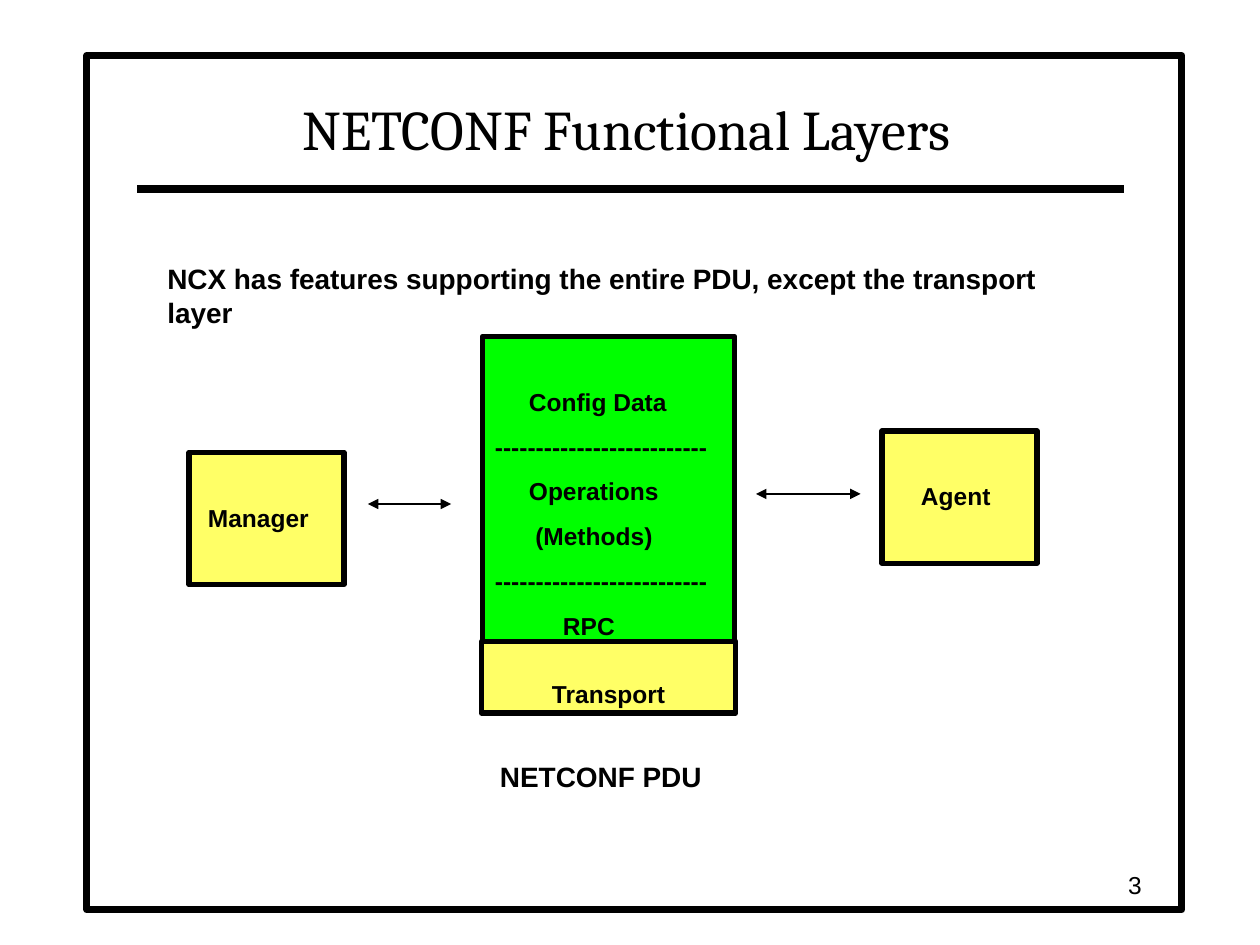
import pptx
import pptx.dml.color
import pptx.enum.shapes
import pptx.enum.text
import pptx.oxml.ns
import pptx.util
from lxml import etree

Inches = pptx.util.Inches
Pt = pptx.util.Pt
RGBColor = pptx.dml.color.RGBColor
ALIGN = pptx.enum.text.PP_ALIGN
ANCHOR = pptx.enum.text.MSO_ANCHOR
SHAPE = pptx.enum.shapes.MSO_SHAPE
CONNECTOR = pptx.enum.shapes.MSO_CONNECTOR

BLACK = RGBColor(0x00, 0x00, 0x00)
YELLOW = RGBColor(0xFF, 0xFF, 0x66)
GREEN = RGBColor(0x00, 0xFF, 0x00)


class SlideBuilder:
    """Holds the style and the current slide."""

    label = {"name": "Arial", "size": Pt(14), "bold": True}
    caption = {"name": "Arial", "size": Pt(16), "bold": True}
    number = {"name": "Arial", "size": Pt(14), "bold": False}
    heading = {"name": "Cambria", "size": Pt(32), "bold": False}
    line_gap = Pt(8.8)

    def __init__(self, slide):
        self.s = slide

    def fill_text(self, sp, lines, font, align=ALIGN.LEFT, anchor=ANCHOR.TOP,
                  wrap=True, left=0.1, top=0.05):
        """Fill a shape with (text, indent in inches) lines."""
        tf = sp.text_frame
        frame = {"word_wrap": wrap, "vertical_anchor": anchor,
                 "margin_left": Inches(left), "margin_right": Inches(0.1),
                 "margin_top": Inches(top), "margin_bottom": 0}
        for key, value in frame.items():
            setattr(tf, key, value)
        for i, (text, indent) in enumerate(lines):
            p = tf.paragraphs[0] if i == 0 else tf.add_paragraph()
            p.alignment = align
            if i:
                p.space_before = self.line_gap
            if indent:
                p._p.get_or_add_pPr().set("marL", str(Inches(indent)))
            r = p.add_run()
            r.text = text
            for key, value in font.items():
                setattr(r.font, key, value)
            r.font.color.rgb = BLACK

    def title(self, text, x, y, w, h):
        sp = self.s.shapes.title
        place = {"left": x, "top": y, "width": w, "height": h}
        for key, value in place.items():
            setattr(sp, key, Inches(value))
        self.fill_text(sp, [(text, 0)], self.heading,
                       ALIGN.CENTER, ANCHOR.BOTTOM)
        sp.text_frame.margin_bottom = Inches(0.05)

    def box(self, x, y, w, h, fill=None, width=3, lines=(), **layout):
        sp = self.s.shapes.add_shape(
            SHAPE.RECTANGLE, Inches(x), Inches(y), Inches(w), Inches(h))
        sp.shadow.inherit = False
        if fill is None:
            sp.fill.background()
        else:
            sp.fill.solid()
            sp.fill.fore_color.rgb = fill
        sp.line.color.rgb = BLACK
        sp.line.width = Pt(width)
        if lines:
            self.fill_text(sp, lines, self.label, **layout)

    def text(self, text, x, y, w, h, font, **layout):
        sp = self.s.shapes.add_textbox(
            Inches(x), Inches(y), Inches(w), Inches(h))
        self.fill_text(sp, [(text, 0)], font, **layout)

    def line(self, x1, x2, y, width, arrows=False):
        c = self.s.shapes.add_connector(
            CONNECTOR.STRAIGHT, Inches(x1), Inches(y), Inches(x2), Inches(y))
        c.line.color.rgb = BLACK
        c.line.width = Pt(width)
        spPr = c._element.spPr
        if arrows:
            ln = spPr.find(pptx.oxml.ns.qn("a:ln"))
            for end in ("a:headEnd", "a:tailEnd"):
                etree.SubElement(ln, pptx.oxml.ns.qn(end), type="triangle")
        etree.SubElement(spPr, pptx.oxml.ns.qn("a:effectLst"))


def main():
    prs = pptx.Presentation()
    prs.slide_width, prs.slide_height = Inches(10), Inches(7.5)
    b = SlideBuilder(prs.slides.add_slide(prs.slide_layouts[5]))

    # Frame, title and rule
    b.box(0.69, 0.44, 8.69, 6.78, width=4)
    b.title("NETCONF Functional Layers", 1.08, 0.58, 7.79, 0.75)
    b.line(1.09, 8.92, 1.5, 4.5)

    # Peers
    for name, x, y, left in (("Manager", 1.5, 3.59, 0.15),
                             ("Agent", 7, 3.42, 0.31)):
        b.box(x, y, 1.23, 1.05, YELLOW, lines=[(name, 0)], left=left, top=0.4)

    # Protocol layers
    divider = ("-" * 26, 0)
    layers = [("Config Data", 0.27), divider, ("Operations", 0.27),
              ("(Methods)", 0.32), divider, ("RPC", 0.54)]
    b.box(3.83, 2.67, 2, 2.47, GREEN, lines=layers, top=0.4)
    b.box(3.82, 5.09, 2.02, 0.57, YELLOW, lines=[("Transport", 0)],
          align=ALIGN.CENTER, top=0.3)

    # Exchanges between the peers and the layers
    b.line(2.92, 3.58, 4, 1, arrows=True)
    b.line(6, 6.83, 3.92, 1, arrows=True)

    # Captions and slide number
    b.text("NCX has features supporting the entire PDU, "
           "except the transport layer",
           1.23, 2.03, 7.67, 0.37, b.caption, wrap=False)
    b.text("NETCONF PDU", 3.87, 5.98, 1.87, 0.37, b.caption)
    b.text("3", 7.08, 6.83, 2.08, 0.33, b.number,
           align=ALIGN.RIGHT, anchor=ANCHOR.MIDDLE)

    prs.save("out.pptx")


if __name__ == "__main__":
    main()
